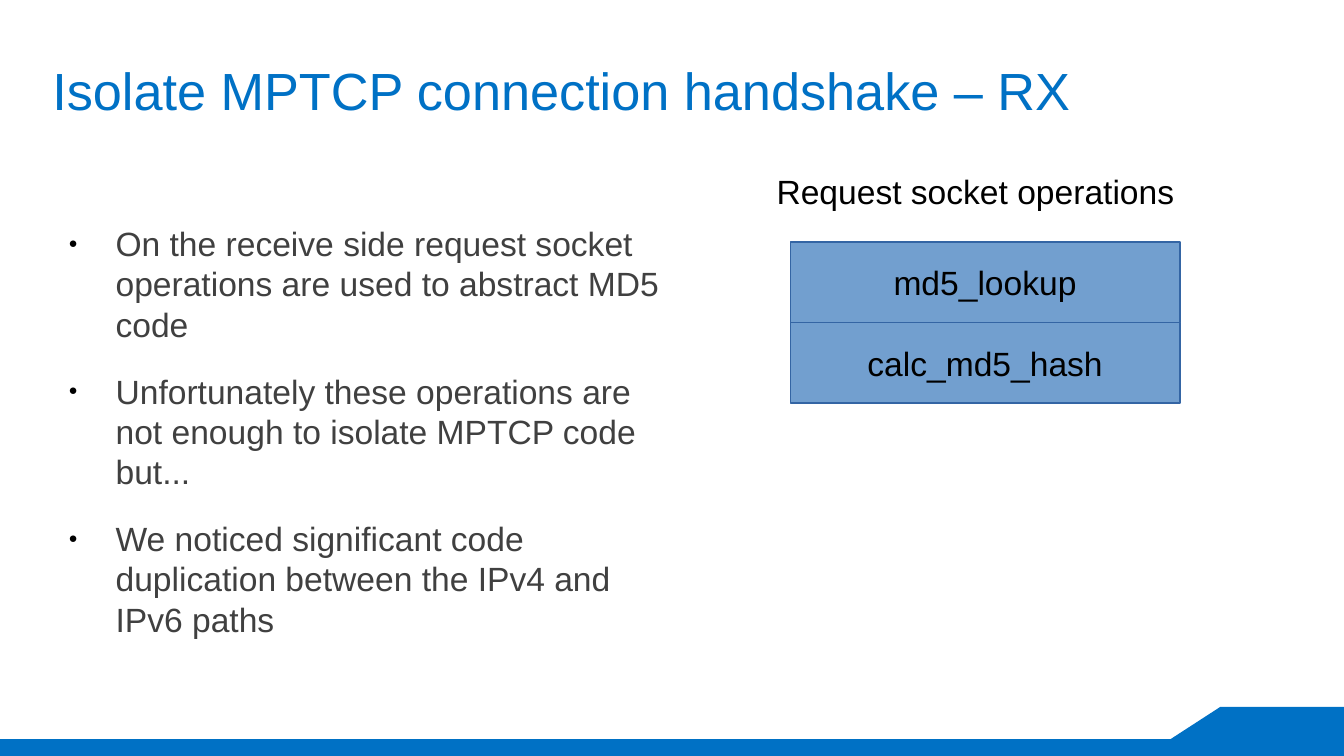
import pptx
import pptx.util
import pptx.dml.color
import pptx.enum.shapes
import pptx.enum.text
import lxml.etree
from pptx.util import Inches, Pt

BLUE = pptx.dml.color.RGBColor(0x00, 0x71, 0xC5)
GREY = pptx.dml.color.RGBColor(0x40, 0x40, 0x40)
BLACK = pptx.dml.color.RGBColor(0x00, 0x00, 0x00)
BOX_FILL = pptx.dml.color.RGBColor(0x72, 0x9F, 0xCF)
BOX_LINE = pptx.dml.color.RGBColor(0x34, 0x65, 0xA4)
MIDDLE = pptx.enum.text.MSO_ANCHOR.MIDDLE


def add_span(para, text, size, color):
    span = para.add_run()
    span.text = text
    span.font.name = "Arial"
    span.font.size = Pt(size)
    span.font.color.rgb = color


def add_text_box(left, top, width, height):
    box = page.shapes.add_textbox(Inches(left), Inches(top), Inches(width), Inches(height))
    frame = box.text_frame
    frame.word_wrap = True
    frame.margin_left = frame.margin_right = 0
    frame.margin_top = frame.margin_bottom = 0
    return frame


# Widescreen page, 16 to 9
deck = pptx.Presentation()
deck.slide_width = Inches(10)
deck.slide_height = Inches(10) * 9 // 16
page = deck.slides.add_slide(deck.slide_layouts[6])

# Footer band with a raised right end
bottom = deck.slide_height
outline = page.shapes.build_freeform(Inches(9.08), Inches(5.26), scale=1.0)
outline.add_line_segments([
    (Inches(10), Inches(5.26)), (Inches(10), bottom), (0, bottom),
    (0, Inches(5.5)), (Inches(8.71), Inches(5.5))], close=True)
band = outline.convert_to_shape()
band.shadow.inherit = False
band.fill.solid()
band.fill.fore_color.rgb = BLUE
band.line.fill.background()

# Title
title = add_text_box(0.39, 0.25, 9.23, 0.84)
title.vertical_anchor = MIDDLE
add_span(title.paragraphs[0], "Isolate MPTCP connection handshake – RX", 28, BLUE)

# Bullet list
points = [
    "On the receive side request socket operations are used to abstract MD5 code",
    "Unfortunately these operations are not enough to isolate MPTCP code but...",
    "We noticed significant code duplication between the IPv4 and IPv6 paths",
]
body = add_text_box(0.39, 1.66, 4.61, 3.36)
for index, point in enumerate(points):
    para = body.paragraphs[0] if index == 0 else body.add_paragraph()
    properties = para._p.get_or_add_pPr()
    properties.set("marL", str(Inches(0.47)))
    properties.set("indent", str(Inches(-0.35)))
    namespace = properties.nsmap["a"]
    bullet_color = lxml.etree.SubElement(properties, f"{{{namespace}}}buClr")
    lxml.etree.SubElement(bullet_color, f"{{{namespace}}}srgbClr", val=str(BLACK))
    lxml.etree.SubElement(properties, f"{{{namespace}}}buSzPct", val="45000")
    lxml.etree.SubElement(properties, f"{{{namespace}}}buFont", typeface="Arial")
    lxml.etree.SubElement(properties, f"{{{namespace}}}buChar", char="●")
    para.space_after = Pt(14.2)
    add_span(para, point, 18, GREY)

# Stacked operation boxes
for index, name in enumerate(["md5_lookup", "calc_md5_hash"]):
    box = page.shapes.add_shape(
        pptx.enum.shapes.MSO_SHAPE.RECTANGLE,
        Inches(5.88), Inches(1.8 + 0.6 * index), Inches(2.9), Inches(0.6))
    box.shadow.inherit = False
    box.fill.solid()
    box.fill.fore_color.rgb = BOX_FILL
    box.line.color.rgb = BOX_LINE
    box.line.width = Pt(0)
    box.text_frame.word_wrap = False
    box.text_frame.vertical_anchor = MIDDLE
    para = box.text_frame.paragraphs[0]
    para.alignment = pptx.enum.text.PP_ALIGN.CENTER
    add_span(para, name, 18, BLACK)

# Heading above the boxes
heading = add_text_box(5.68, 1.22, 3.16, 0.38)
heading.word_wrap = False
heading.margin_left = heading.margin_right = Inches(0.1)
heading.margin_top = heading.margin_bottom = Inches(0.05)
add_span(heading.paragraphs[0], "Request socket operations", 18, BLACK)

deck.save("out.pptx")
